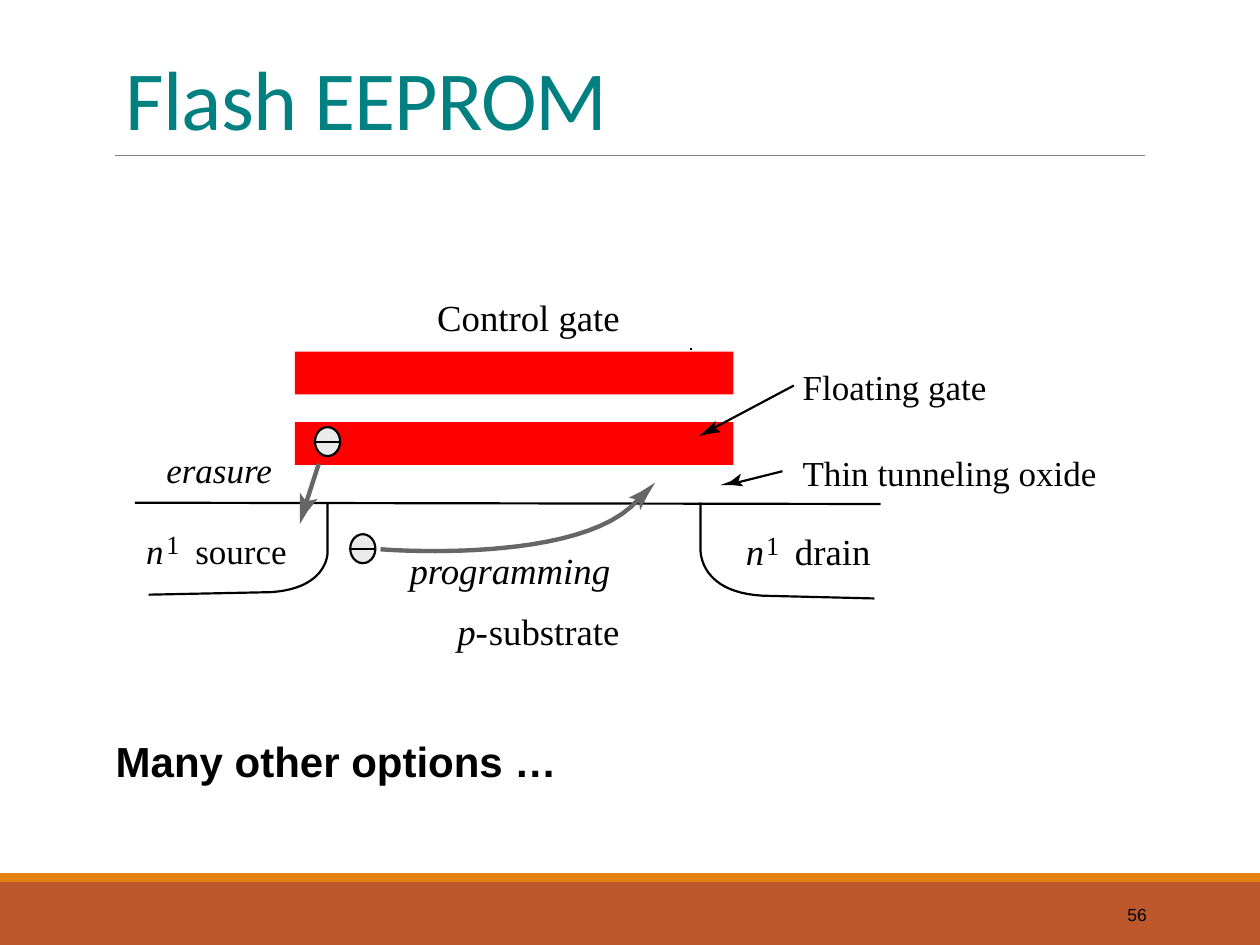
from pptx import Presentation
from pptx.dml.color import RGBColor
from pptx.enum.shapes import MSO_CONNECTOR, MSO_SHAPE
from pptx.enum.text import MSO_ANCHOR, PP_ALIGN
from pptx.oxml.ns import qn
from pptx.util import Inches, Pt
from lxml.etree import SubElement

BLACK = RGBColor(0, 0, 0)
RED = RGBColor(0xFF, 0, 0)
TEAL = RGBColor(0, 0x80, 0x80)
GRAY = RGBColor(0x80, 0x80, 0x80)
DARK = RGBColor(0x66, 0x66, 0x66)
PALE = RGBColor(0xEA, 0xEA, 0xEA)
RUST = RGBColor(0xBD, 0x58, 0x2C)
ORANGE = RGBColor(0xE4, 0x83, 0x12)
SERIF = "Times New Roman"

LABELS = [
    ("Control gate", 3.47, 2.34, 1.59, 21, False),
    ("erasure", 1.32, 3.56, 0.86, 20, True),
    ("p-", 3.63, 4.83, 0.26, 21, True),
    ("substrate", 3.88, 4.83, 1.15, 21, False),
    ("Floating gate", 6.37, 2.9, 1.58, 20, False),
    ("Thin tunneling oxide", 6.37, 3.58, 2.51, 20, False),
    ("n", 1.16, 4.2, 0.15, 20, True),
    ("1", 1.32, 4.19, 0.17, 15, False),
    ("source", 1.55, 4.2, 0.79, 20, False),
    ("n", 5.92, 4.2, 0.16, 21, True),
    ("1", 6.08, 4.2, 0.17, 15, False),
    ("drain", 6.31, 4.2, 0.66, 21, False),
    ("programming", 3.25, 4.35, 1.72, 21, True),
]

HEADS = [
    ([(5.67, 3.39), (5.72, 3.43), (5.64, 3.44), (5.55, 3.46),
      (5.62, 3.4), (5.68, 3.34)], BLACK),
    ([(5.86, 3.82), (5.9, 3.86), (5.81, 3.85), (5.72, 3.85),
      (5.8, 3.82), (5.88, 3.76)], BLACK),
    ([(2.43, 3.98), (2.52, 3.96), (2.44, 4.06), (2.38, 4.16),
      (2.38, 4.04), (2.38, 3.91)], DARK),
    ([(5.07, 3.97), (4.99, 3.95), (5.09, 3.9), (5.2, 3.83),
      (5.14, 3.93), (5.08, 4.05)], DARK),
]


def add_block(slide, kind, box, fill, edge=None):
    shape = slide.shapes.add_shape(kind, *map(Inches, box))
    shape.shadow.inherit = False
    shape.fill.solid()
    shape.fill.fore_color.rgb = fill
    if edge is None:
        shape.line.fill.background()
    else:
        shape.line.color.rgb = edge
        shape.line.width = Pt(1.25)


def add_line(slide, start, end, color=BLACK, width=1.25):
    line = slide.shapes.add_connector(
        MSO_CONNECTOR.STRAIGHT, *map(Inches, start + end))
    line.line.color.rgb = color
    line.line.width = Pt(width)
    SubElement(line._element.spPr, qn("a:effectLst"))


def add_path(slide, points, close):
    spots = [(Inches(x), Inches(y)) for x, y in points]
    maker = slide.shapes.build_freeform(*spots[0])
    maker.add_line_segments(spots[1:], close=close)
    shape = maker.convert_to_shape()
    shape.shadow.inherit = False
    return shape


def add_curve(slide, points, color=BLACK, width=1.25):
    shape = add_path(slide, points, False)
    shape.fill.background()
    shape.line.color.rgb = color
    shape.line.width = Pt(width)


def add_head(slide, points, color):
    shape = add_path(slide, points, True)
    shape.fill.solid()
    shape.fill.fore_color.rgb = color
    shape.line.fill.background()


def bezier(a, b, c, d, steps=24):
    def mix(i, t):
        u = 1 - t
        return (u**3 * a[i] + 3 * u * u * t * b[i]
                + 3 * u * t * t * c[i] + t**3 * d[i])
    return [(mix(0, n / steps), mix(1, n / steps)) for n in range(steps + 1)]


def add_text(slide, text, box, size, name, color=BLACK, inset=True, wrap=False):
    frame = slide.shapes.add_textbox(*map(Inches, box)).text_frame
    frame.word_wrap = wrap
    if not inset:
        frame.margin_left = frame.margin_right = 0
        frame.margin_top = frame.margin_bottom = 0
    para = frame.paragraphs[0]
    para.text = text
    para.font.size = Pt(size)
    para.font.name = name
    para.font.color.rgb = color
    return frame, para


def add_label(slide, text, left, top, width, size, italic):
    box = (left, top, width, size / 60)
    para = add_text(slide, text, box, size, SERIF, inset=False)[1]
    para.font.italic = italic


def add_charge(slide, left, top):
    add_block(slide, MSO_SHAPE.OVAL, (left, top, 0.2, 0.23), PALE, BLACK)
    mid = top + 0.115
    add_line(slide, (left + 0.2, mid), (left, mid))


def add_frame(slide):
    add_block(slide, MSO_SHAPE.RECTANGLE, (0, 7, 10, 0.5), RUST)
    add_block(slide, MSO_SHAPE.RECTANGLE, (0, 6.93, 10, 0.07), ORANGE)
    add_line(slide, (0.91, 1.23), (9.09, 1.23), GRAY, 0.5)
    frame, para = add_text(slide, "Flash EEPROM", (0.9, 0.31, 8.25, 0.91),
                           48, "Calibri", TEAL, wrap=True)
    frame.vertical_anchor = MSO_ANCHOR.BOTTOM
    para.line_spacing = 0.85
    para.runs[0]._r.get_or_add_rPr().set("spc", "-50")
    para = add_text(slide, "Many other options …", (0.82, 5.79, 3.7, 0.5),
                    24, "Arial")[1]
    para.font.bold = True
    frame, para = add_text(slide, "56", (8.12, 7.06, 1.08, 0.4),
                           10, "Arial", wrap=True)
    frame.vertical_anchor = MSO_ANCHOR.MIDDLE
    para.alignment = PP_ALIGN.RIGHT


def add_cell(slide):
    drain = bezier((5.56, 4.36), (5.56, 4.36), (5.54, 4.73), (6.12, 4.73))
    add_curve(slide, [(5.56, 3.99)] + drain + [(6.94, 4.75)])
    source = bezier((2.6, 4.38), (2.6, 4.38), (2.61, 4.67), (2.15, 4.7))
    add_curve(slide, [(2.6, 3.99)] + source + [(1.18, 4.72)])
    for top in (2.79, 3.35):
        add_block(slide, MSO_SHAPE.RECTANGLE, (2.34, top, 3.48, 0.34), RED)
    add_line(slide, (5.48, 2.77), (5.49, 2.77))
    add_line(slide, (1.07, 3.99), (6.99, 4))
    add_charge(slide, 2.5, 3.39)
    add_charge(slide, 2.78, 4.24)


def add_arrows(slide):
    add_line(slide, (5.66, 3.4), (6.3, 3.06))
    add_line(slide, (5.85, 3.83), (6.21, 3.74))
    add_line(slide, (2.43, 3.99), (2.53, 3.68), DARK, 2.5)
    sweep = bezier((3.02, 4.36), (3.02, 4.36), (4.63, 4.49), (5.07, 3.96))
    add_curve(slide, sweep, DARK, 2.5)
    for points, color in HEADS:
        add_head(slide, points, color)


def main():
    deck = Presentation()
    deck.slide_width = Inches(10)
    deck.slide_height = Inches(7.5)
    slide = deck.slides.add_slide(deck.slide_layouts[6])
    add_frame(slide)
    add_cell(slide)
    for label in LABELS:
        add_label(slide, *label)
    add_arrows(slide)
    deck.save("out.pptx")


if __name__ == "__main__":
    main()
